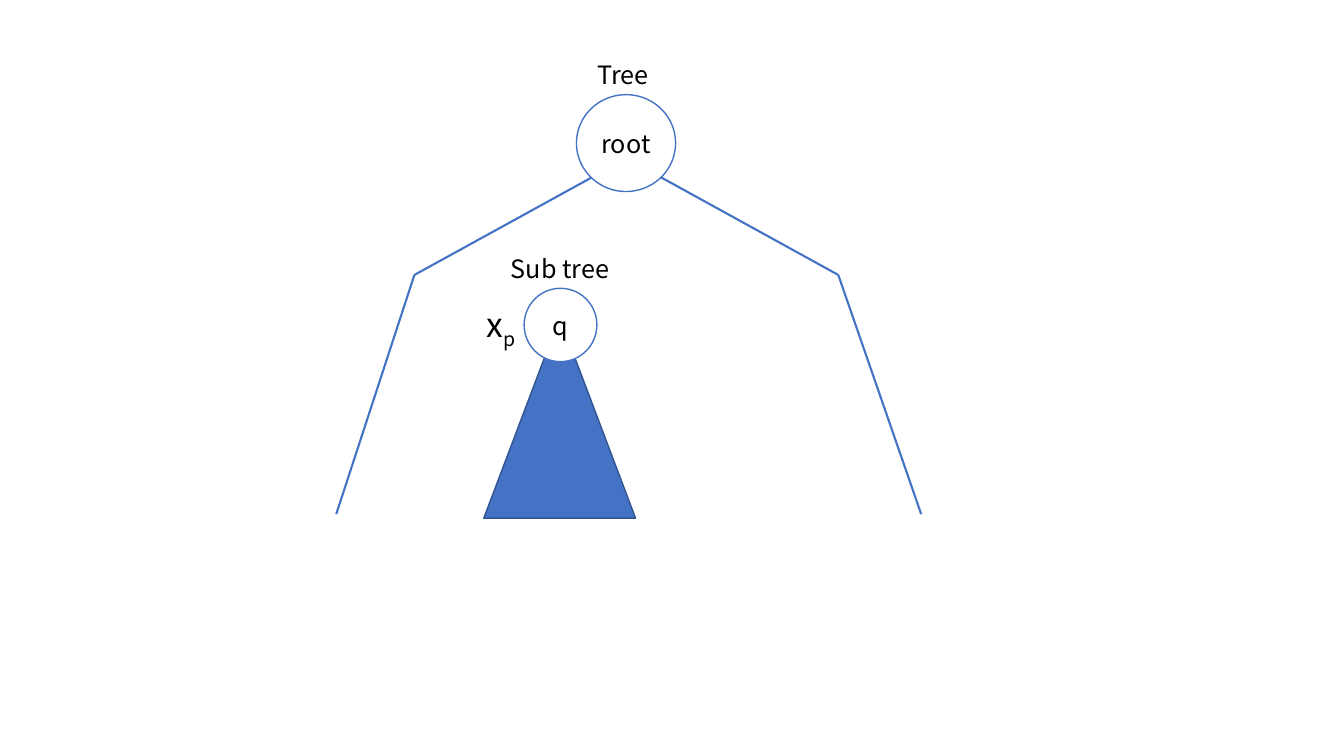
from itertools import pairwise

from pptx import Presentation
from pptx import util as u
from pptx.dml.color import RGBColor
from pptx.enum import shapes, text
from pptx.oxml.ns import qn
from lxml import etree

FONT = "Noto Sans CJK JP"
BLUE, EDGE, WHITE, BLACK = "4472C4", "325491", "FFFFFF", "000000"


def color(code):
    return RGBColor.from_string(code)


def write(par, words, size=18, tint=BLACK, base=None):
    run = par.add_run()
    run.text = words
    run.font.name = FONT
    run.font.size = u.Pt(size)
    run.font.color.rgb = color(tint)
    if base is not None:
        run.font._element.set("baseline", str(base * 1000))


class Chart:
    def __init__(self, slide, line=BLUE):
        self.items = slide.shapes
        self.line = line

    def shape(self, kind, box, fill=None, line=None):
        item = self.items.add_shape(kind, *map(u.Pt, box))
        item.shadow.inherit = False
        if fill:
            item.fill.solid()
            item.fill.fore_color.rgb = color(fill)
        else:
            item.fill.background()
        item.line.color.rgb = color(line or self.line)
        item.line.width = u.Pt(1)
        return item

    def node(self, words, box, fill=None):
        frame = self.shape(shapes.MSO_SHAPE.OVAL, box, fill).text_frame
        frame.word_wrap = False
        frame.vertical_anchor = text.MSO_ANCHOR.MIDDLE
        par = frame.paragraphs[0]
        par.alignment = text.PP_ALIGN.CENTER
        write(par, words)

    def path_line(self, points):
        for start, end in pairwise(points):
            item = self.items.add_connector(
                shapes.MSO_CONNECTOR.STRAIGHT, *map(u.Pt, start + end))
            item.line.color.rgb = color(self.line)
            item.line.width = u.Pt(1.5)
            etree.SubElement(item._element.spPr, qn("a:effectLst"))

    def label(self, words, box, size=18, sub=None):
        frame = self.items.add_textbox(*map(u.Pt, box)).text_frame
        frame.word_wrap = True
        frame.auto_size = text.MSO_AUTO_SIZE.SHAPE_TO_FIT_TEXT
        par = frame.paragraphs[0]
        write(par, words, size)
        if sub:
            write(par, sub, size, base=-25)


def main():
    deck = Presentation()
    deck.slide_width, deck.slide_height = u.Pt(960), u.Pt(540)
    tree = Chart(deck.slides.add_slide(deck.slide_layouts[6]))

    tree.shape(shapes.MSO_SHAPE.ISOSCELES_TRIANGLE,
               (345.6, 226.8, 108.4, 143.3), BLUE, EDGE)
    tree.node("root", (411.8, 67.6, 70.8, 69.2))
    tree.path_line([(422.6, 126.8), (296, 196.4), (240.2, 367.2)])
    tree.path_line([(472.4, 126.8), (598.8, 196.4), (658, 367.2)])
    tree.node("q", (374.4, 205.9, 52, 52.4), WHITE)

    tree.label("Tree", (419.8, 38.9, 56.2, 28.8))
    tree.label("Sub tree", (357.8, 177.1, 87, 28.8))
    tree.label("x", (340.6, 213.8, 41.8, 36), size=24, sub="p")
    deck.save("out.pptx")


if __name__ == "__main__":
    main()
